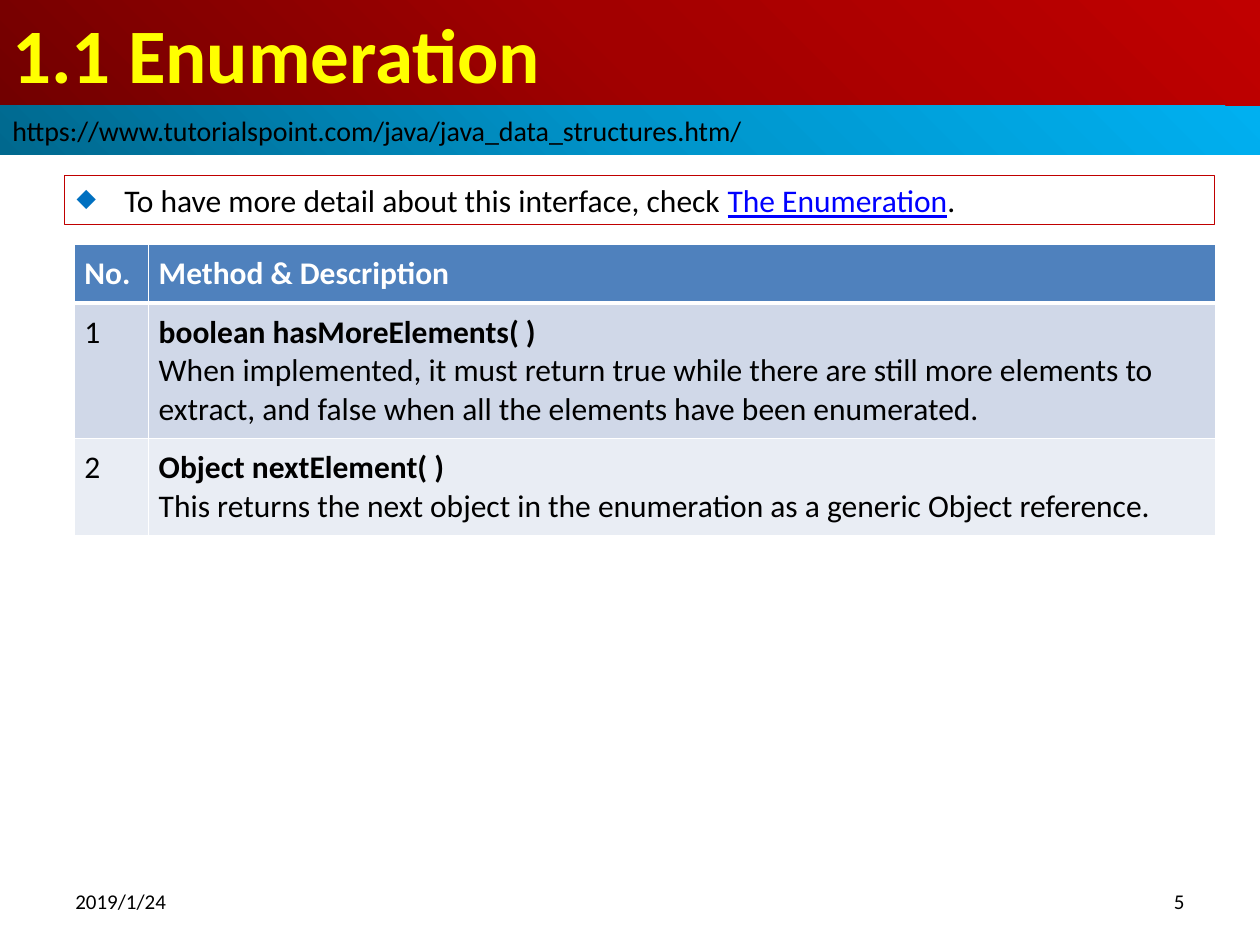
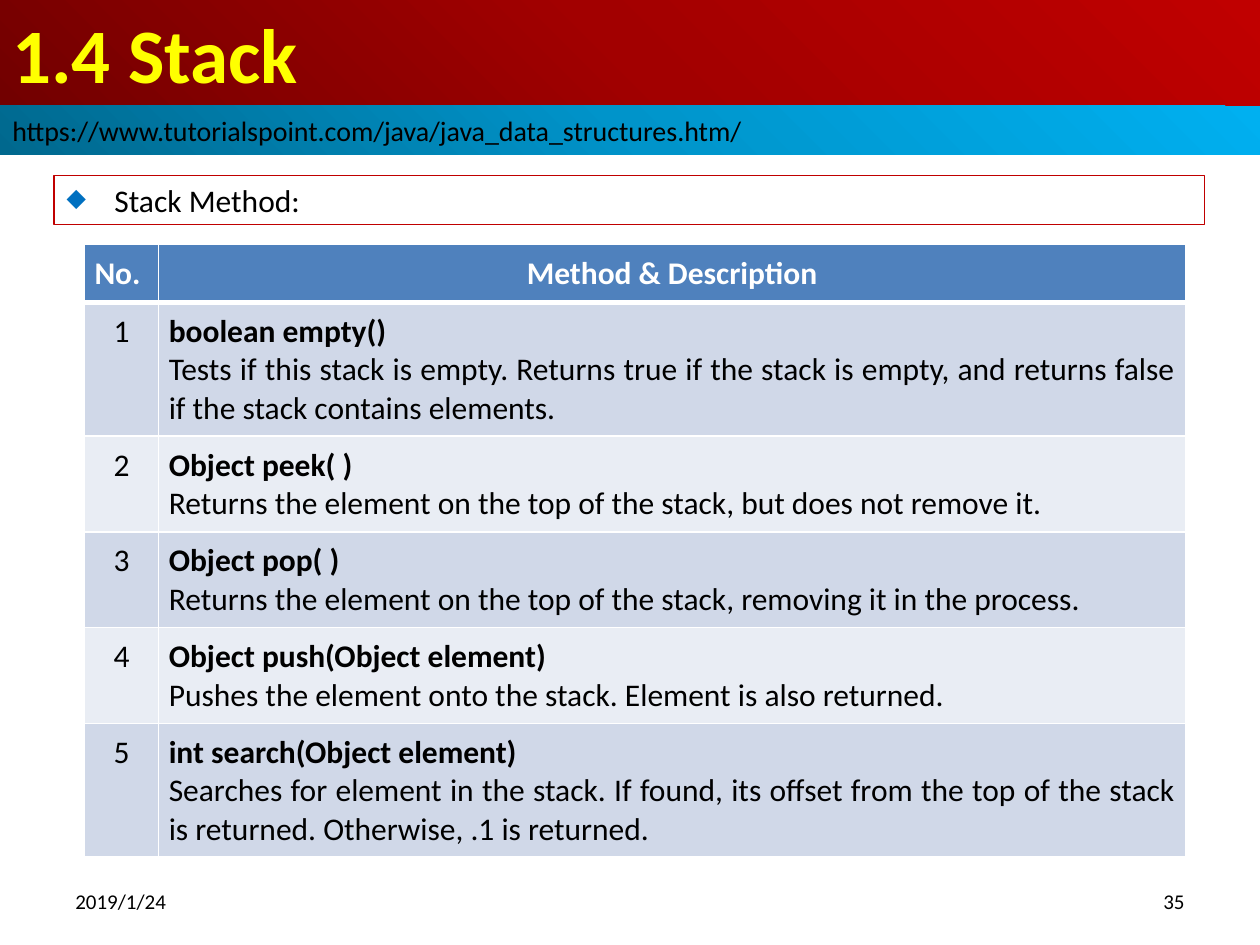
"""Builds two slides on Java data structures, each with a method table."""
from pptx import Presentation
from pptx.dml.color import RGBColor
from pptx.enum.shapes import MSO_SHAPE
from pptx.enum.text import MSO_ANCHOR, PP_ALIGN
from pptx.oxml import parse_xml
from pptx.oxml.ns import nsdecls, qn
from pptx.util import Inches, Pt

FONT = "Calibri"
BLACK = RGBColor(0, 0, 0)
WHITE = RGBColor(255, 255, 255)
YELLOW = RGBColor(255, 255, 0)
LINK = RGBColor(0, 0, 255)
RED = RGBColor(0xC0, 0, 0)
BULLET = RGBColor(0, 0x70, 0xC0)
HEAD = RGBColor(0x4F, 0x81, 0xBD)
BANDS = (RGBColor(0xD0, 0xD8, 0xE8), RGBColor(0xE9, 0xED, 0xF4))
REDS = (RGBColor(0x72, 0, 0), RGBColor(0xA2, 0, 0), RED)
BLUES = (RGBColor(0, 0x68, 0x8E), RGBColor(0, 0x94, 0xCA), RGBColor(0, 0xB0, 0xF0))

URL = "https://www.tutorialspoint.com/java/java_data_structures.htm/"
DATE = "2019/1/24"
HEADS = ("No.", "Method & Description")
LEFT, MID, RIGHT, FULL = PP_ALIGN.LEFT, PP_ALIGN.CENTER, PP_ALIGN.RIGHT, PP_ALIGN.JUSTIFY
SLIDES = [
    {
        "title": "1.1 Enumeration",
        "page": "5",
        "note": [
            ("To have more detail about this interface, check ", False),
            ("The Enumeration", True),
            (".", False),
        ],
        "note_x": 0.51,
        "table_x": 0.59,
        "cols": (0.59, 8.47),
        "aligns": {"head": LEFT, "num": LEFT, "body": LEFT},
        "methods": [
            ("boolean hasMoreElements( )",
             "When implemented, it must return true while there are still more elements "
             "to extract, and false when all the elements have been enumerated."),
            ("Object nextElement( )",
             "This returns the next object in the enumeration as a generic Object reference."),
        ],
    },
    {
        "title": "1.4 Stack",
        "page": "35",
        "note": [("Stack Method:", False)],
        "note_x": 0.43,
        "table_x": 0.67,
        "cols": (0.59, 8.15),
        "aligns": {"head": MID, "num": MID, "body": FULL},
        "methods": [
            ("boolean empty()",
             "Tests if this stack is empty. Returns true if the stack is empty, and "
             "returns false if the stack contains elements."),
            ("Object peek( )",
             "Returns the element on the top of the stack, but does not remove it."),
            ("Object pop( )",
             "Returns the element on the top of the stack, removing it in the process."),
            ("Object push(Object element)",
             "Pushes the element onto the stack. Element is also returned."),
            ("int search(Object element)",
             "Searches for element in the stack. If found, its offset from the top of the "
             "stack is returned. Otherwise, .1 is returned."),
        ],
    },
]


def add_run(para, text, size, color=BLACK, bold=False):
    run = para.add_run()
    run.text = text
    run.font.name = FONT
    run.font.size = Pt(size)
    run.font.bold = bold
    run.font.color.rgb = color
    return run


def add_rect(slide, x, y, w, h):
    rect = slide.shapes.add_shape(
        MSO_SHAPE.RECTANGLE, Inches(x), Inches(y), Inches(w), Inches(h))
    rect.shadow.inherit = False
    rect.fill.background()
    rect.text_frame.word_wrap = True
    rect.text_frame.paragraphs[0].alignment = LEFT
    return rect


def add_band(slide, y, h, colors, text, size, color, bold=False):
    band = add_rect(slide, 0, y, 10, h)
    band.line.fill.background()
    stops = "".join(
        f'<a:gs pos="{i * 50000}"><a:srgbClr val="{c}"/></a:gs>'
        for i, c in enumerate(colors))
    props = band.element.spPr
    props.replace(props.find(qn("a:noFill")), parse_xml(
        f'<a:gradFill {nsdecls("a")} rotWithShape="1"><a:gsLst>{stops}</a:gsLst>'
        '<a:path path="circle"><a:fillToRect t="100000" r="100000"/></a:path>'
        '</a:gradFill>'))
    band.text_frame.vertical_anchor = MSO_ANCHOR.MIDDLE
    add_run(band.text_frame.paragraphs[0], text, size, color, bold)


def add_foot(slide, x, text, align):
    box = slide.shapes.add_textbox(Inches(x), Inches(6.95), Inches(2.33), Inches(0.4))
    frame = box.text_frame
    frame.word_wrap = True
    frame.vertical_anchor = MSO_ANCHOR.MIDDLE
    frame.paragraphs[0].alignment = align
    add_run(frame.paragraphs[0], text, 12)


def add_note(slide, x, parts):
    note = add_rect(slide, x, 1.39, 9.13, 0.39)
    note.line.color.rgb = RED
    note.line.width = Pt(0.75)
    note.text_frame.vertical_anchor = MSO_ANCHOR.TOP
    para = note.text_frame.paragraphs[0]
    props = para._p.get_or_add_pPr()
    props.set("marL", str(Inches(0.38)))
    props.set("indent", str(Inches(-0.38)))
    for tag in (f'buClr {nsdecls("a")}><a:srgbClr val="{BULLET}"/></a:buClr',
                f'buSzPct {nsdecls("a")} val="80000"/',
                f'buChar {nsdecls("a")} char="◆"/'):
        props.append(parse_xml(f"<a:{tag}>"))
    for text, linked in parts:
        run = add_run(para, text, 18, LINK if linked else BLACK)
        run.font.underline = linked


def set_cell(cell, lines, align, fill, color, edges):
    cell.margin_left = cell.margin_right = Inches(0.08)
    cell.margin_top = cell.margin_bottom = Inches(0.08)
    cell.fill.solid()
    cell.fill.fore_color.rgb = fill
    props = cell._tc.get_or_add_tcPr()
    for i, side in enumerate("LRTB"):
        props.insert(i, parse_xml(
            f'<a:ln{side} {nsdecls("a")} w="{Pt(edges.get(side, 1))}"><a:solidFill>'
            f'<a:srgbClr val="{WHITE}"/></a:solidFill></a:ln{side}>'))
    frame = cell.text_frame
    for i, (text, bold) in enumerate(lines):
        para = frame.add_paragraph() if i else frame.paragraphs[0]
        para.alignment = align
        add_run(para, text, 18, color, bold)


def add_methods(slide, x, cols, aligns, methods):
    count = len(methods) + 1
    table = slide.shapes.add_table(
        count, len(cols), Inches(x), Inches(1.94),
        Inches(sum(cols)), Inches(0.41 * count)).table
    for col, width in zip(table.columns, cols):
        col.width = Inches(width)
    for i, (text, align) in enumerate(zip(HEADS, (LEFT, aligns["head"]))):
        set_cell(table.cell(0, i), [(text, True)], align, HEAD, WHITE, {"B": 3})
    for row, (name, about) in enumerate(methods, 1):
        fill = BANDS[(row - 1) % 2]
        edges = {"T": 3} if row == 1 else {}
        set_cell(table.cell(row, 0), [(str(row), False)], aligns["num"], fill, BLACK, edges)
        set_cell(table.cell(row, 1), [(name, True), (about, False)],
                 aligns["body"], fill, BLACK, edges)


def main():
    deck = Presentation()
    deck.slide_width, deck.slide_height = Inches(10), Inches(7.5)
    for page in SLIDES:
        slide = deck.slides.add_slide(deck.slide_layouts[6])
        add_band(slide, 0, 0.84, REDS, page["title"], 44, YELLOW, True)
        add_band(slide, 0.84, 0.39, BLUES, URL, 16, BLACK)
        add_note(slide, page["note_x"], page["note"])
        add_methods(slide, page["table_x"], page["cols"], page["aligns"], page["methods"])
        add_foot(slide, 0.5, DATE, LEFT)
        add_foot(slide, 7.17, page["page"], RIGHT)
    deck.save("out.pptx")


if __name__ == "__main__":
    main()
